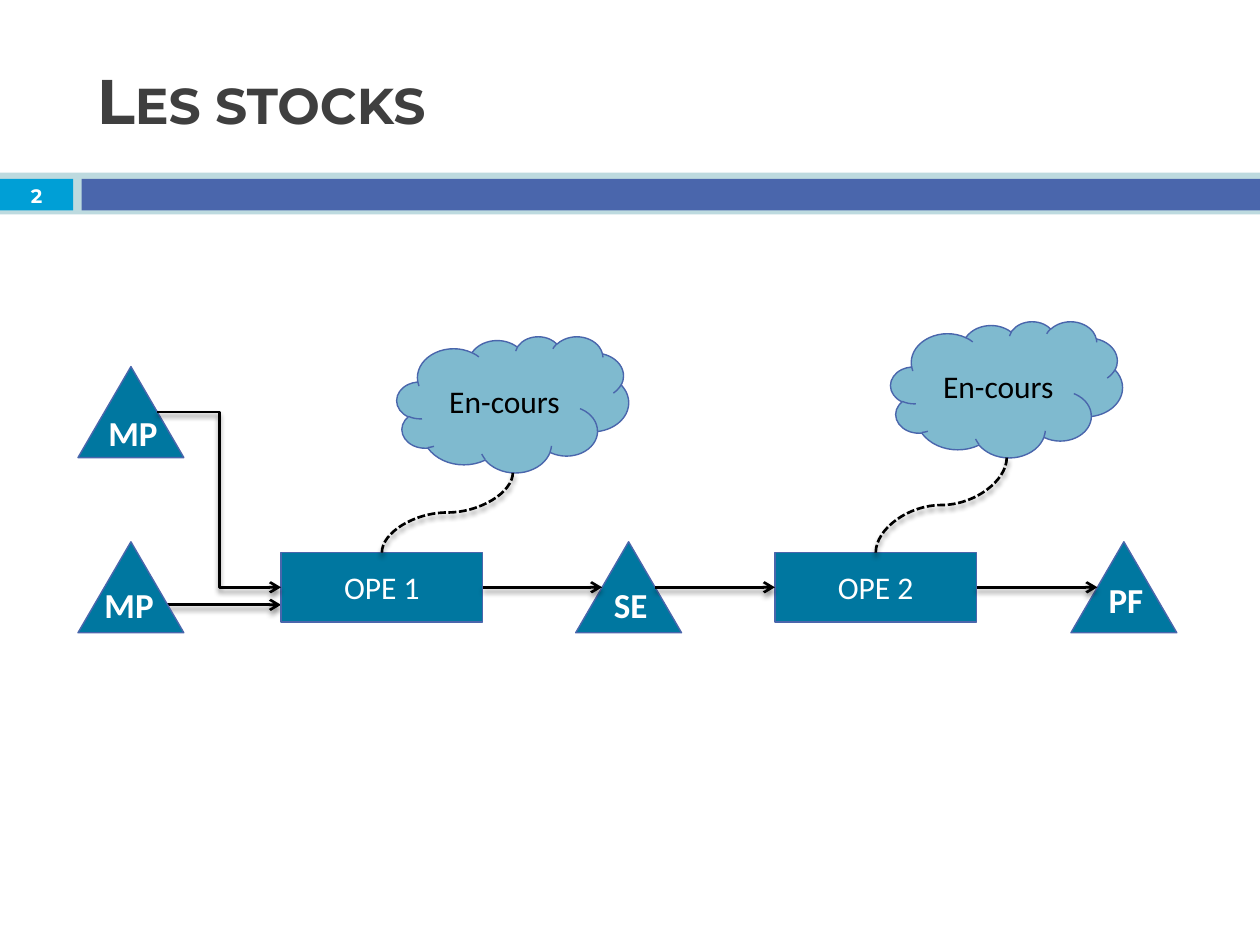
from lxml import etree
from pptx import Presentation
from pptx.dml.color import RGBColor
from pptx.enum.dml import MSO_LINE
from pptx.enum.shapes import MSO_CONNECTOR, MSO_SHAPE
from pptx.enum.text import MSO_ANCHOR, PP_ALIGN
from pptx.oxml import parse_xml
from pptx.oxml.ns import nsdecls, qn
from pptx.util import Pt

RECTANGLE = MSO_SHAPE.RECTANGLE
TRIANGLE = MSO_SHAPE.ISOSCELES_TRIANGLE
CLOUD = MSO_SHAPE.CLOUD
STRAIGHT, ELBOW, CURVE = MSO_CONNECTOR.STRAIGHT, MSO_CONNECTOR.ELBOW, MSO_CONNECTOR.CURVE
DASH = MSO_LINE.SQUARE_DOT
MIDDLE, TOP = MSO_ANCHOR.MIDDLE, MSO_ANCHOR.TOP
CENTER, LEFT = PP_ALIGN.CENTER, PP_ALIGN.LEFT
RIGHT_SIDE, LEFT_SIDE = 3, 1

TRIANGLE_WIDTH, TRIANGLE_HEIGHT = 60.5, 52
OPERATION_WIDTH, OPERATION_HEIGHT = 115.2, 39.6
CLOUD_WIDTH, CLOUD_HEIGHT = 132.5, 77.8
FLOW_TOP = 309.6
FLOW_Y = FLOW_TOP + TRIANGLE_HEIGHT / 2
OPERATION_TOP = FLOW_Y - OPERATION_HEIGHT / 2
SHADOW = (
    f'<a:effectLst {nsdecls("a")}><a:outerShdw blurRad="38100" dist="30480" dir="5400000">'
    '<a:srgbClr val="000000"><a:alpha val="45000"/></a:srgbClr></a:outerShdw></a:effectLst>'
)


def color(hex_string):
    return RGBColor.from_string(hex_string)


def write(shape, text, size=18, font="Calibri", fill="FFFFFF", bold=False,
          align=CENTER, anchor=MIDDLE, small_caps=False):
    frame = shape.text_frame
    frame.word_wrap = True
    frame.vertical_anchor = anchor
    paragraph = frame.paragraphs[0]
    paragraph.alignment = align
    run = paragraph.add_run()
    run.text = text
    run.font.size = Pt(size)
    run.font.name = font
    run.font.bold = bold
    run.font.color.rgb = color(fill)
    if small_caps:
        run.font._element.set("cap", "small")


class StockSlide:
    blue, outline, teal, cyan, pale = "0077A0", "4A66AC", "0077A0", "009FD6", "BDDADF"
    heading_font, dark = "Montserrat", "3F3F3F"

    def __init__(self, presentation):
        self.slide = presentation.slides.add_slide(presentation.slide_layouts[5])

    def title(self, text):
        title = self.slide.shapes.title
        title.left, title.top, title.width, title.height = Pt(48.2), Pt(18), Pt(642.2), Pt(77.8)
        write(title, text, size=36, font=self.heading_font, fill=self.dark,
              bold=True, align=LEFT, small_caps=True)

    def shape(self, kind, left, top, width, height, fill, line=None, opacity=None):
        shape = self.slide.shapes.add_shape(kind, Pt(left), Pt(top), Pt(width), Pt(height))
        shape.shadow.inherit = False
        shape.fill.solid()
        shape.fill.fore_color.rgb = color(fill)
        if opacity:
            fill_color = shape._element.spPr.find(qn("a:solidFill"))[0]
            etree.SubElement(fill_color, qn("a:alpha")).set("val", str(opacity * 1000))
        if line:
            shape.line.color.rgb = color(line)
            shape.line.width = Pt(0.79)
        else:
            shape.line.fill.background()
        return shape

    def label(self, text, left, top, width, height, **style):
        box = self.slide.shapes.add_textbox(Pt(left), Pt(top), Pt(width), Pt(height))
        write(box, text, bold=True, **style)

    def stock(self, left, top, text, label_left, label_top):
        self.shape(TRIANGLE, left, top, TRIANGLE_WIDTH, TRIANGLE_HEIGHT, self.blue, self.outline)
        self.label(text, label_left, label_top, 58.3, 31.7, size=20, anchor=TOP)

    def operation(self, left, text):
        shape = self.shape(RECTANGLE, left, OPERATION_TOP, OPERATION_WIDTH, OPERATION_HEIGHT,
                           self.blue, self.outline)
        write(shape, text)
        return shape

    def connector(self, kind, start, end, arrow=True):
        connector = self.slide.shapes.add_connector(kind, *map(Pt, start + end))
        connector.line.color.rgb = color("000000")
        connector.line.width = Pt(1.5)
        if arrow:
            line = connector.line._get_or_add_ln()
            etree.SubElement(line, qn("a:tailEnd")).set("type", "arrow")
        connector._element.spPr.append(parse_xml(SHADOW))
        return connector

    def work_in_progress(self, left, top, operation_left):
        """Draw a cloud and the dashed curve that ties it to its operation."""
        cloud = self.shape(CLOUD, left, top, CLOUD_WIDTH, CLOUD_HEIGHT, self.teal,
                           self.outline, opacity=50)
        write(cloud, "En-cours", fill="000000")
        start_x, start_y = operation_left + OPERATION_WIDTH / 2, OPERATION_TOP
        end_x, end_y = left + CLOUD_WIDTH / 2, top + CLOUD_HEIGHT
        center_x, center_y = (start_x + end_x) / 2, (start_y + end_y) / 2
        half_run, half_rise = (end_x - start_x) / 2, (start_y - end_y) / 2
        # A quarter turn makes both ends of the curve vertical
        curve = self.connector(CURVE, (center_x + half_rise, center_y + half_run),
                               (center_x - half_rise, center_y - half_run), arrow=False)
        curve.line.dash_style = DASH
        curve._element.spPr.find(qn("a:xfrm")).set("rot", "5400000")


def main():
    presentation = Presentation()
    presentation.slide_width, presentation.slide_height = Pt(720), Pt(540)
    page = StockSlide(presentation)

    page.shape(RECTANGLE, 0, 98.6, 720, 24, page.pale)
    page.shape(RECTANGLE, 0, 102.2, 41.8, 18, page.cyan)
    page.shape(RECTANGLE, 46.6, 102.2, 673.4, 18, page.outline)
    page.title("Les stocks")
    page.label("2", 0, 102.2, 41.8, 19.4, size=11.1, font=page.heading_font)

    material_left, semi_left, finished_left = 44.6, 329, 612
    first_left, second_left = 160.6, 442.8
    upper_top = 209.5
    near, far = TRIANGLE_WIDTH / 4, TRIANGLE_WIDTH * 3 / 4

    page.connector(STRAIGHT, (material_left + far, 345.6), (first_left, 345.6))
    first = page.operation(first_left, "OPE 1")
    second = page.operation(second_left, "OPE 2")

    for stock in (
        (material_left, upper_top, "MP", 46.8, 231.8),
        (material_left, FLOW_TOP, "MP", 44.6, 329.8),
        (semi_left, FLOW_TOP, "SE", 331.2, 329.8),
        (finished_left, FLOW_TOP, "PF", 614.2, 326.9),
    ):
        page.stock(*stock)

    for operation, left, target in ((first, first_left, semi_left),
                                    (second, second_left, finished_left)):
        arrow = page.connector(STRAIGHT, (left + OPERATION_WIDTH, FLOW_Y), (target + near, FLOW_Y))
        arrow.begin_connect(operation, RIGHT_SIDE)
    arrow = page.connector(STRAIGHT, (semi_left + far, FLOW_Y), (second_left, FLOW_Y))
    arrow.end_connect(second, LEFT_SIDE)
    page.connector(ELBOW, (material_left + far, upper_top + TRIANGLE_HEIGHT / 2),
                   (first_left, FLOW_Y))

    page.work_in_progress(226.8, 192.2, first_left)
    page.work_in_progress(509, 183.6, second_left)
    presentation.save("out.pptx")


if __name__ == "__main__":
    main()
